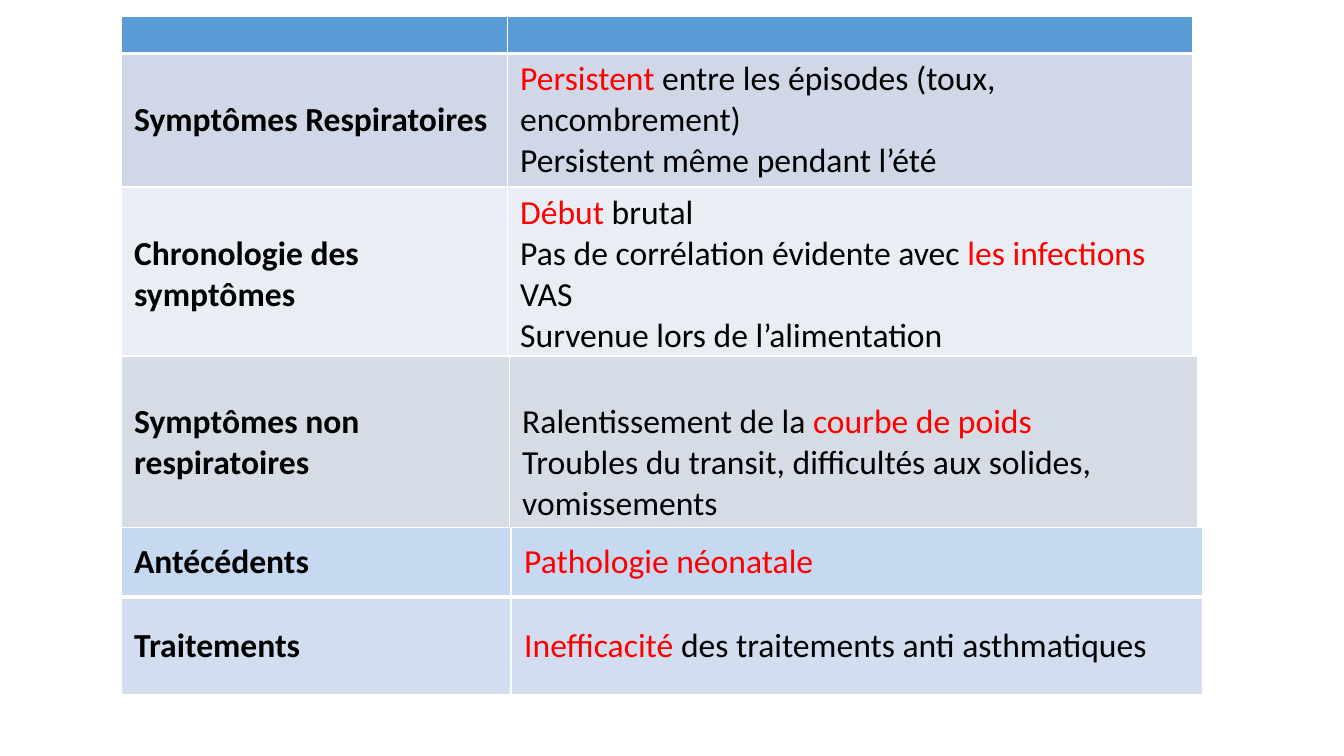
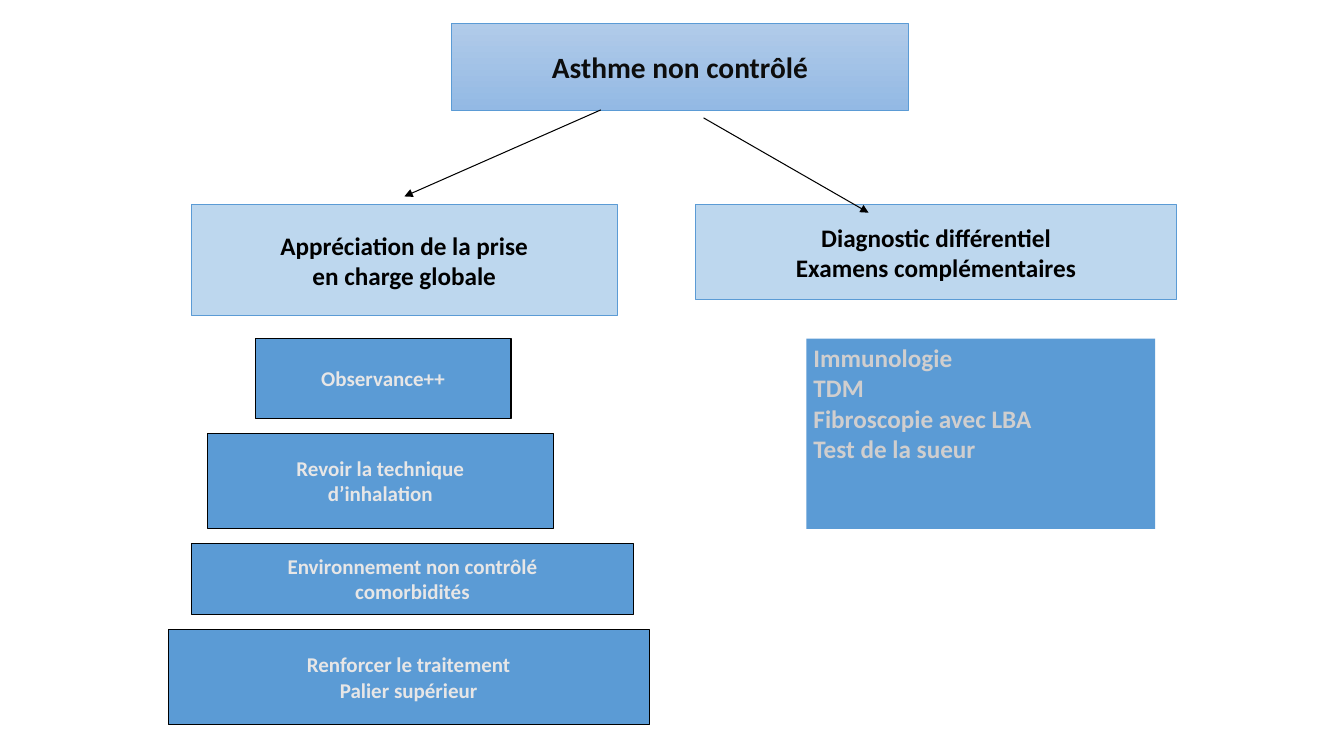
import dataclasses

import pptx
import pptx.dml.color
import pptx.enum.shapes
import pptx.enum.text
import pptx.oxml.ns
import pptx.util
from lxml import etree

Cm = pptx.util.Cm
Pt = pptx.util.Pt
Anchor = pptx.enum.text.MSO_ANCHOR
Align = pptx.enum.text.PP_ALIGN


def rgb(value):
    return pptx.dml.color.RGBColor.from_string(value)


def add_element(parent, tag, **attributes):
    return etree.SubElement(parent, pptx.oxml.ns.qn(tag), **attributes)


@dataclasses.dataclass(frozen=True)
class Theme:
    font: str = "Calibri"
    ink: str = "000000"
    title_ink: str = "0D0D0D"
    highlight: str = "FF0000"
    white: str = "FFFFFF"
    blue: str = "5B9BD5"
    branch: str = "BDD7EE"
    step_ink: str = "E7E6E6"
    list_ink: str = "D0CECE"
    title_top: str = "B1CBE9"
    title_bottom: str = "93B9E4"
    respiratory: str = "D0D8E8"
    chronology: str = "E9EDF4"
    general: str = "D6DCE5"
    history: str = "C6D9F1"
    treatment: str = "D2DEEF"
    table_size: int = 24
    title_size: int = 21
    branch_size: int = 18
    step_size: int = 15


class Deck:
    def __init__(self, theme):
        self.theme = theme
        self.presentation = pptx.Presentation()
        self.presentation.slide_width = Cm(33.87)
        self.presentation.slide_height = Cm(19.05)
        self.slide = None

    def new_slide(self, layout):
        self.slide = self.presentation.slides.add_slide(
            self.presentation.slide_layouts[layout])

    def place(self, shape, box):
        shape.left, shape.top, shape.width, shape.height = map(Cm, box)

    def style(self, paragraph, size, color, bold=True):
        font = paragraph.font
        font.name, font.size, font.bold = self.theme.font, Pt(size), bold
        font.color.rgb = rgb(color)

    def outline(self, shape, color, width):
        shape.line.color.rgb = rgb(color)
        shape.line.width = Pt(width)

    def set_lines(self, shape, lines, size, color, align=Align.CENTER,
                  anchor=Anchor.MIDDLE, wrap=False, bullets_off=False):
        frame = shape.text_frame
        frame.text = "\n".join(lines)
        frame.word_wrap = wrap
        frame.auto_size = pptx.enum.text.MSO_AUTO_SIZE.NONE
        frame.vertical_anchor = anchor
        frame.margin_left = frame.margin_right = Cm(0.18)
        frame.margin_top = frame.margin_bottom = Cm(0.1)
        for paragraph in frame.paragraphs:
            paragraph.alignment = align
            if bullets_off:
                paragraph.space_before = Pt(0)
                properties = paragraph._p.get_or_add_pPr()
                properties.set("marL", "0")
                properties.set("indent", "0")
                add_element(properties, "a:buNone")
            self.style(paragraph, size, color)

    def title(self, text, box):
        title = self.slide.shapes.title
        self.place(title, box)
        title.fill.gradient()
        title.fill.gradient_angle = 270
        shades = self.theme.title_top, self.theme.title_bottom
        for position, (stop, shade) in enumerate(
                zip(title.fill.gradient_stops, shades)):
            stop.position = position
            stop.color.rgb = rgb(shade)
        self.outline(title, self.theme.blue, 0.5)
        self.set_lines(title, [text], self.theme.title_size,
                       self.theme.title_ink)

    def plain_list(self, lines, box):
        body = self.slide.placeholders[1]
        self.place(body, box)
        body.fill.solid()
        body.fill.fore_color.rgb = rgb(self.theme.blue)
        self.set_lines(body, lines, self.theme.branch_size,
                       self.theme.list_ink, Align.LEFT, Anchor.TOP, True, True)

    def box(self, lines, box, fill, line, width, size, color):
        shape = self.slide.shapes.add_shape(
            pptx.enum.shapes.MSO_SHAPE.RECTANGLE, *map(Cm, box))
        shape.shadow.inherit = False
        shape.fill.solid()
        shape.fill.fore_color.rgb = rgb(fill)
        self.outline(shape, line, width)
        self.set_lines(shape, lines, size, color)

    def branch(self, lines, box):
        theme = self.theme
        self.box(lines, box, theme.branch, theme.blue, 0.5,
                 theme.branch_size, theme.ink)

    def step(self, lines, box):
        theme = self.theme
        self.box(lines, box, theme.blue, theme.ink, 0.75,
                 theme.step_size, theme.step_ink)

    def arrow(self, start, end):
        arrow = self.slide.shapes.add_connector(
            pptx.enum.shapes.MSO_CONNECTOR.STRAIGHT, *map(Cm, start + end))
        self.outline(arrow, self.theme.ink, 0.75)
        add_element(arrow.line._get_or_add_ln(), "a:tailEnd", type="triangle")
        add_element(arrow._element.spPr, "a:effectLst")

    def borders(self, cell, top, bottom):
        properties = cell._tc.get_or_add_tcPr()
        widths = {"a:lnL": 1, "a:lnR": 1, "a:lnT": top, "a:lnB": bottom}
        for index, (tag, width) in enumerate(widths.items()):
            line = add_element(properties, tag, w=str(int(Pt(width))))
            fill = add_element(line, "a:solidFill")
            add_element(fill, "a:srgbClr", val=self.theme.white)
            properties.insert(index, line)

    def fill_cell(self, cell, lines, bold):
        cell.text = "\n".join(line.replace("*", "") for line in lines)
        for paragraph, line in zip(cell.text_frame.paragraphs, lines):
            self.style(paragraph, self.theme.table_size, self.theme.ink, bold)
            if "*" not in line:
                continue
            paragraph.clear()
            for index, piece in enumerate(line.split("*")):
                if piece:
                    run = paragraph.add_run()
                    run.text = piece
                    run.font.color.rgb = rgb(
                        self.theme.highlight if index % 2 else self.theme.ink)

    def table(self, rows, left, top, widths, anchor=Anchor.MIDDLE,
              margin_top=0.13):
        heights = [row[0] for row in rows]
        table = self.slide.shapes.add_table(
            len(rows), len(widths),
            *map(Cm, (left, top, sum(widths), sum(heights)))).table
        table.first_row = table.horz_banding = False
        for column, width in zip(table.columns, widths):
            column.width = Cm(width)
        for index, (height, fill, label, findings) in enumerate(rows):
            table.rows[index].height = Cm(height)
            for cell, lines, bold in zip(
                    table.rows[index].cells, ([label], findings), (True, False)):
                cell.fill.solid()
                cell.fill.fore_color.rgb = rgb(fill)
                cell.vertical_anchor = anchor
                cell.margin_left = cell.margin_right = Cm(0.33)
                filled = any(lines)
                cell.margin_top = Cm(margin_top if filled else 0)
                cell.margin_bottom = Cm(0.13 if filled else 0)
                self.borders(cell, 3 if index == 1 else 1,
                             1 if index else 3)
                if filled:
                    self.fill_cell(cell, lines, bold)
        return top + sum(heights)


def symptoms_slide(deck):
    deck.new_slide(6)
    theme = deck.theme
    left = 3.05
    top = deck.table([
        (0.94, theme.blue, "", []),
        (3.3, theme.respiratory, "Symptômes Respiratoires", [
            "*Persistent *entre les épisodes (toux, encombrement)",
            "Persistent même pendant l’été"]),
        (4.32, theme.chronology, "Chronologie des symptômes", [
            "*Début* brutal",
            "Pas de corrélation évidente avec *les infections *VAS",
            "Survenue lors de l’alimentation"]),
    ], left, 0.41, (9.73, 17.27))
    top = deck.table([
        (4.32, theme.general, "Symptômes non respiratoires", [
            "Ralentissement de la *courbe de poids*",
            "Troubles du transit, difficultés aux solides, vomissements"]),
    ], left, top, (9.78, 17.35), Anchor.TOP, 1.16)
    deck.table([
        (1.75, theme.history, "Antécédents", ["*Pathologie néonatale*"]),
        (2.46, theme.treatment, "Traitements", [
            "*Inefficacité *des traitements anti asthmatiques"]),
    ], left, top, (9.83, 17.42))


def asthma_slide(deck):
    deck.new_slide(1)
    deck.title("Asthme non contrôlé", (11.38, 0.58, 11.51, 2.21))
    branch_top, detail_top, step_gap = 5.16, 8.53, 0.38
    deck.branch(["Appréciation de la prise", "en charge globale"],
                (4.83, branch_top, 10.72, 2.79))
    deck.branch(["Diagnostic différentiel", "Examens complémentaires"],
                (17.53, branch_top, 12.12, 2.39))
    deck.arrow((15.14, 2.77), (10.19, 4.95))
    deck.arrow((17.73, 2.97), (21.89, 5.36))
    top = detail_top
    for left, width, height, lines in (
            (6.43, 6.45, 2.01, ["Observance++"]),
            (5.23, 8.71, 2.39, ["Revoir la technique", "d’inhalation"]),
            (4.83, 11.13, 1.8, ["Environnement non contrôlé", "comorbidités"]),
            (4.24, 12.12, 2.39, ["Renforcer le traitement", "Palier supérieur"])):
        deck.step(lines, (left, top, width, height))
        top += height + step_gap
    deck.plain_list(
        ["Immunologie", "TDM", "Fibroscopie avec LBA", "Test de la sueur"],
        (20.32, detail_top, 8.79, 4.8))


def main():
    deck = Deck(Theme())
    symptoms_slide(deck)
    asthma_slide(deck)
    deck.presentation.save("out.pptx")


if __name__ == "__main__":
    main()
